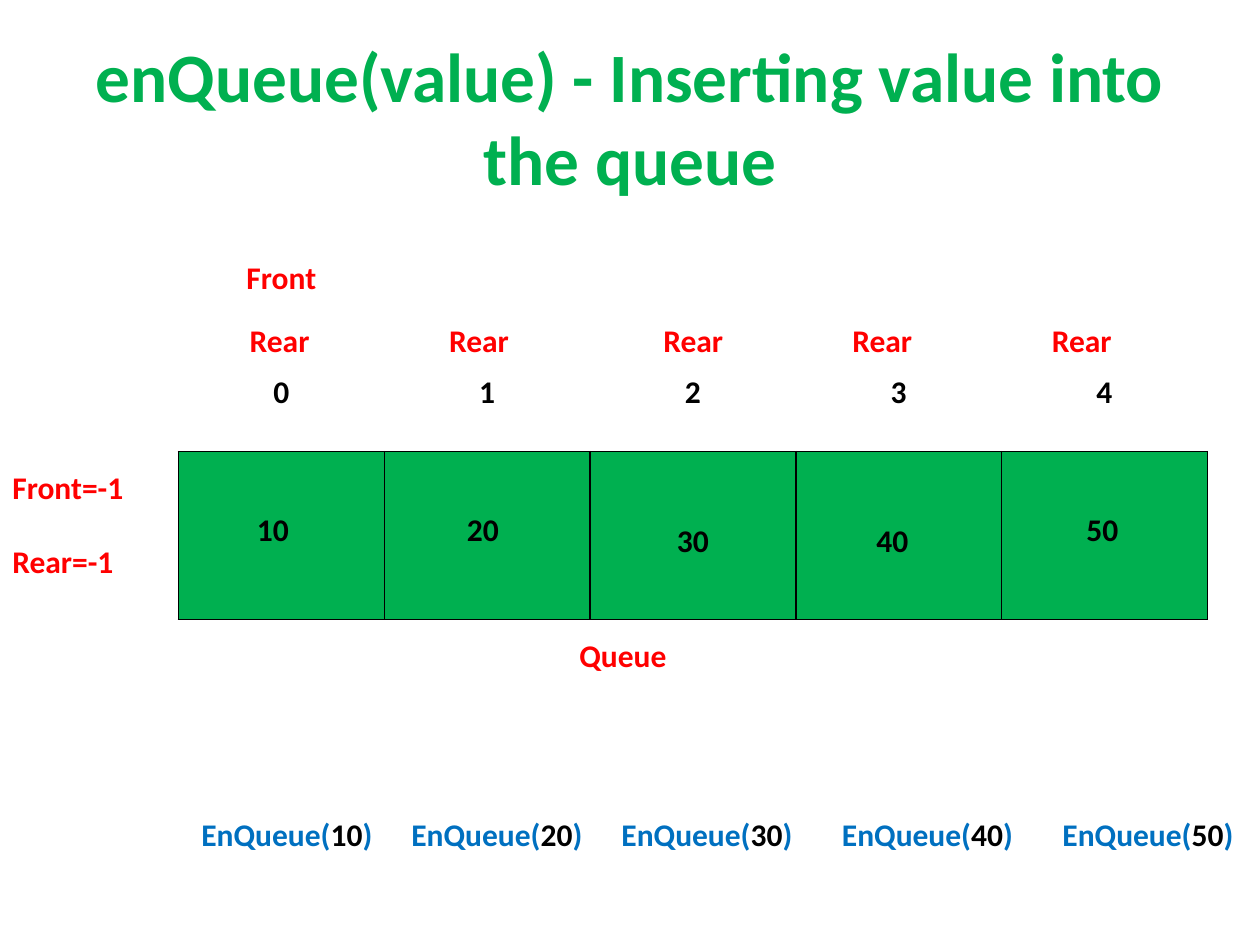
"""Build a slide that shows enQueue filling a five-cell queue."""
from lxml.etree import SubElement
from pptx import Presentation
from pptx.dml.color import RGBColor as RGB
from pptx.enum.text import MSO_ANCHOR as ANCHOR, MSO_AUTO_SIZE as FIT, PP_ALIGN as ALIGN
from pptx.oxml.ns import qn
from pptx.util import Inches, Pt

GREEN = RGB(0x00, 0xB0, 0x50)
RED = RGB(0xFF, 0x00, 0x00)
BLUE = RGB(0x00, 0x70, 0xC0)
BLACK = RGB(0x00, 0x00, 0x00)
WHITE = RGB(0xFF, 0xFF, 0xFF)

prs = Presentation()
prs.slide_width, prs.slide_height = Inches(10), Inches(7.5)
U = prs.slide_width // 120
s = prs.slides.add_slide(prs.slide_layouts[5])


def add_text(p, runs, size=18):
    for text, color in runs:
        r = p.add_run()
        r.text = text
        r.font.name, r.font.size, r.font.bold = "Calibri", Pt(size), True
        r.font.color.rgb = color


def add_label(col, row, cols, runs, align=ALIGN.LEFT):
    sp = s.shapes.add_textbox(int(col * U), int(row * U), cols * U, 5 * U)
    tf = sp.text_frame
    tf.word_wrap, tf.auto_size = True, FIT.SHAPE_TO_FIT_TEXT
    tf.paragraphs[0].alignment = align
    add_text(tf.paragraphs[0], runs)


title = s.shapes.title
title.left, title.top, title.width, title.height = 6 * U, Inches(0.3), 108 * U, 15 * U
tf = title.text_frame
tf.word_wrap, tf.auto_size, tf.vertical_anchor = True, FIT.NONE, ANCHOR.MIDDLE
tf.paragraphs[0].alignment = ALIGN.CENTER
add_text(tf.paragraphs[0], [("enQueue(value) - Inserting value into the queue", GREEN)], 39.6)

tables = [
    (43, 16, GREEN, BLACK, [""] * 5),
    (35, 5, None, WHITE, ["0", "1", "2", "3", "4"]),
]
for row, rows, fill, border, texts in tables:
    table = s.shapes.add_table(1, 5, 17 * U, row * U, 98 * U, rows * U).table
    table.first_row = table.horz_banding = False
    for cell, text in zip(table.rows[0].cells, texts):
        tcPr = cell._tc.get_or_add_tcPr()
        for side in ("a:lnL", "a:lnR", "a:lnT", "a:lnB"):
            ln = SubElement(tcPr, qn(side), w=str(Pt(1)))
            SubElement(SubElement(ln, qn("a:solidFill")), qn("a:srgbClr"), val=str(border))
        if fill:
            cell.fill.solid()
            cell.fill.fore_color.rgb = fill
        else:
            cell.fill.background()
        if text:
            p = cell.text_frame.paragraphs[0]
            p.alignment = ALIGN.CENTER
            add_text(p, [(text, BLACK)])

steps = [
    ("10", 20, 48, 18, 22.6),
    ("20", 40, 48, 38, 41.6),
    ("30", 60, 49, 58, 62),
    ("40", 79, 49, 79, 80),
    ("50", 99, 48, 100, 99),
]
for value, value_col, value_row, call_col, rear_col in steps:
    add_label(value_col, value_row, 12, [(value, BLACK)], ALIGN.CENTER)
    add_label(call_col, 77, 20, [("EnQueue(", BLUE), (value, BLACK), (")", BLUE)])
    add_label(rear_col, 30, 11, [("Rear", RED)])

labels = [
    ("Front", 22.3, 24, 11),
    ("Front=-1", 0, 44, 19),
    ("Rear=-1", 0, 51, 19),
    ("Queue", 54, 60, 12),
]
for text, col, row, cols in labels:
    add_label(col, row, cols, [(text, RED)])

prs.save("out.pptx")
